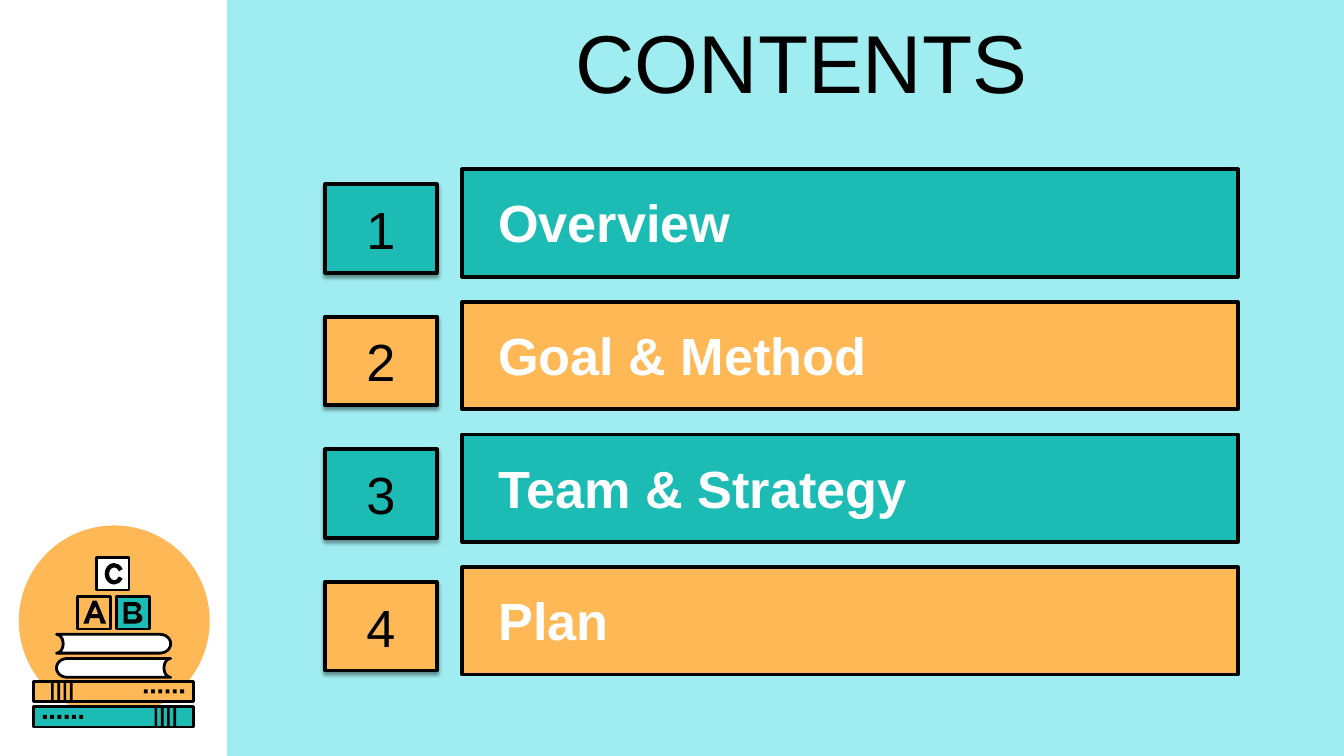
import math

import pptx
import pptx.dml.color
import pptx.enum.shapes
import pptx.enum.text
import pptx.oxml
import pptx.oxml.ns
import pptx.util
from pptx.util import Inches

# Content
TITLE = "CONTENTS"
ENTRIES = ["Overview", "Goal & Method", "Team & Strategy", "Plan"]

THEME = {
    "font": "Arial", "title": 44, "body": 28,
    "panel": "9FEDF0", "teal": "1CBBB4", "orange": "FEB856",
    "black": "000000", "white": "FFFFFF",
}
ROW_COLORS = [THEME["teal"], THEME["orange"]]
PAGE_WIDTH = 10
PAGE_HEIGHT = PAGE_WIDTH * 9 / 16
FIRST_ROW, LAST_ROW = 1.26, 4.22
ROW_STEP = (LAST_ROW - FIRST_ROW) / (len(ENTRIES) - 1)

SHAPE = pptx.enum.shapes.MSO_SHAPE
ALIGN = pptx.enum.text.PP_ALIGN
ANCHOR = pptx.enum.text.MSO_ANCHOR


def rgb(name):
    return pptx.dml.color.RGBColor.from_string(name)


def paint(shape, fill, line=None):
    shape.shadow.inherit = False
    shape.fill.solid()
    shape.fill.fore_color.rgb = rgb(fill)
    if line:
        shape.line.color.rgb = rgb(THEME["black"])
        shape.line.width = pptx.util.Pt(line)
    else:
        shape.line.fill.background()
    return shape


def add_box(page, left, top, width, height, fill, line=None, kind=SHAPE.RECTANGLE):
    box = page.shapes.add_shape(
        kind, Inches(left), Inches(top), Inches(width), Inches(height))
    return paint(box, fill, line)


def add_outline(page, contours, fill, line=None):
    def emu(points):
        return [(Inches(x), Inches(y)) for x, y in points]

    first, *others = [emu(contour) for contour in contours]
    builder = page.shapes.build_freeform(*first[0], scale=1.0)
    builder.add_line_segments(first[1:], close=True)
    for contour in others:
        builder.move_to(*contour[0])
        builder.add_line_segments(contour[1:], close=True)
    return paint(builder.convert_to_shape(), fill, line)


def arc(x, y, width, height, start, end, steps=12):
    """Points on an ellipse arc; angles in degrees, clockwise from the right."""
    angles = [math.radians(start + (end - start) * i / steps) for i in range(steps + 1)]
    return [(x + width * math.cos(a), y + height * math.sin(a)) for a in angles]


def write(shape, text, size, color, bold=False, align=ALIGN.LEFT,
          anchor=ANCHOR.TOP, wrap=True):
    frame = shape.text_frame
    frame.word_wrap = wrap
    frame.vertical_anchor = anchor
    para = frame.paragraphs[0]
    para.alignment = align
    span = para.add_run()
    span.text = text
    span.font.name = THEME["font"]
    span.font.size = pptx.util.Pt(size)
    span.font.bold = bold
    span.font.color.rgb = rgb(color)


def add_shadow(shape):
    effects = shape._element.spPr.find(pptx.oxml.ns.qn("a:effectLst"))
    effects.append(pptx.oxml.parse_xml(
        f'<a:outerShdw {pptx.oxml.ns.nsdecls("a")} blurRad="25400" dist="19050" '
        'dir="5400000" algn="t" rotWithShape="0"><a:srgbClr val="000000">'
        '<a:alpha val="40000"/></a:srgbClr></a:outerShdw>'))


def add_closed_book(page, top, fill, mirrored):
    left, width = 0.25, 1.19

    def mark(offset, drop, mark_width, mark_height):
        x = width - offset - mark_width if mirrored else offset
        add_box(page, left + x, top + drop, mark_width, mark_height, THEME["black"])

    add_box(page, left, top, width, 0.15, fill, 1.5)
    for i in range(4):
        mark(0.13 + 0.14 * i / 3, 0, 0.02, 0.15)
    for i in range(6):
        mark(0.82 + 0.27 * i / 5, 0.06, 0.03, 0.03)


def add_page_stack(page, top, mirrored):
    left, right, middle, half = 0.42, 1.27, top + 0.07, 0.07
    points = (arc(right - 0.08, middle, 0.08, half, -90, 90)
              + arc(left, middle, 0.05, half, 90, -90))
    if mirrored:
        points = [(left + right - x, y) for x, y in points]
    add_outline(page, [points], THEME["white"], 1.5)


def add_illustration(page):
    add_box(page, 0.14, 3.91, 1.42, 1.42, THEME["orange"], kind=SHAPE.OVAL)
    add_closed_book(page, 5.07, THEME["orange"], mirrored=False)
    add_closed_book(page, 5.26, THEME["teal"], mirrored=True)

    # Letter blocks
    black = THEME["black"]
    for left, top, fill in [(0.58, 4.44, THEME["orange"]), (0.87, 4.44, THEME["teal"]),
                            (0.72, 4.15, THEME["white"])]:
        add_box(page, left, top, 0.24, 0.24, fill, 1.5)
    add_outline(page, [
        [(0.69, 4.47), (0.72, 4.47), (0.79, 4.64), (0.75, 4.64), (0.74, 4.6),
         (0.67, 4.6), (0.66, 4.64), (0.62, 4.64)],
        [(0.71, 4.51), (0.68, 4.57), (0.73, 4.57)],
    ], black)
    add_outline(page, [
        [(0.92, 4.48)] + arc(1, 4.52, 0.05, 0.04, -90, 60)
        + arc(1.01, 4.6, 0.05, 0.04, -60, 90) + [(0.92, 4.64)],
        [(0.95, 4.51)] + arc(1, 4.53, 0.02, 0.02, -90, 90) + [(0.95, 4.55)],
        [(0.95, 4.57)] + arc(1, 4.59, 0.02, 0.02, -90, 90) + [(0.95, 4.61)],
    ], black)
    letter = add_box(page, 0.78, 4.19, 0.14, 0.16, black, kind=SHAPE.BLOCK_ARC)
    for i, value in enumerate([17.57, 198.9, 0.23]):
        letter.adjustments[i] = value

    add_page_stack(page, 4.72, mirrored=False)
    add_page_stack(page, 4.9, mirrored=True)


def add_number(page, index):
    fill = ROW_COLORS[index % len(ROW_COLORS)]
    number = add_box(page, 2.42, FIRST_ROW + ROW_STEP * index + 0.11, 0.83, 0.66, fill, 2)
    add_shadow(number)
    write(number, str(index + 1), THEME["body"], THEME["black"],
          align=ALIGN.CENTER, anchor=ANCHOR.MIDDLE, wrap=False)


def add_bar(page, index, text):
    top = FIRST_ROW + ROW_STEP * index
    add_box(page, 3.44, top, 5.77, 0.8, ROW_COLORS[index % len(ROW_COLORS)], 2)
    label = page.shapes.add_textbox(
        Inches(3.61), Inches(top + 0.11), Inches(5.2), Inches(0.57))
    write(label, text, THEME["body"], THEME["white"], bold=True)


def main():
    deck = pptx.Presentation()
    deck.slide_width, deck.slide_height = Inches(PAGE_WIDTH), Inches(PAGE_HEIGHT)
    page = deck.slides.add_slide(deck.slide_layouts.get_by_name("Title Only"))

    # Side panel and illustration
    panel = add_box(page, 1.69, 0, 8.31, PAGE_HEIGHT, THEME["panel"])
    add_illustration(page)

    # Title, brought in front of the panel
    title = page.shapes.title
    title.left, title.top = Inches(1.93), Inches(0.03)
    title.width, title.height = Inches(8.07), Inches(0.85)
    write(title, TITLE, THEME["title"], THEME["black"],
          align=ALIGN.CENTER, anchor=ANCHOR.MIDDLE)
    panel._element.addnext(title._element)

    # Contents list
    for index, text in enumerate(ENTRIES):
        add_number(page, index)
        add_bar(page, index, text)

    deck.save("out.pptx")


if __name__ == "__main__":
    main()
